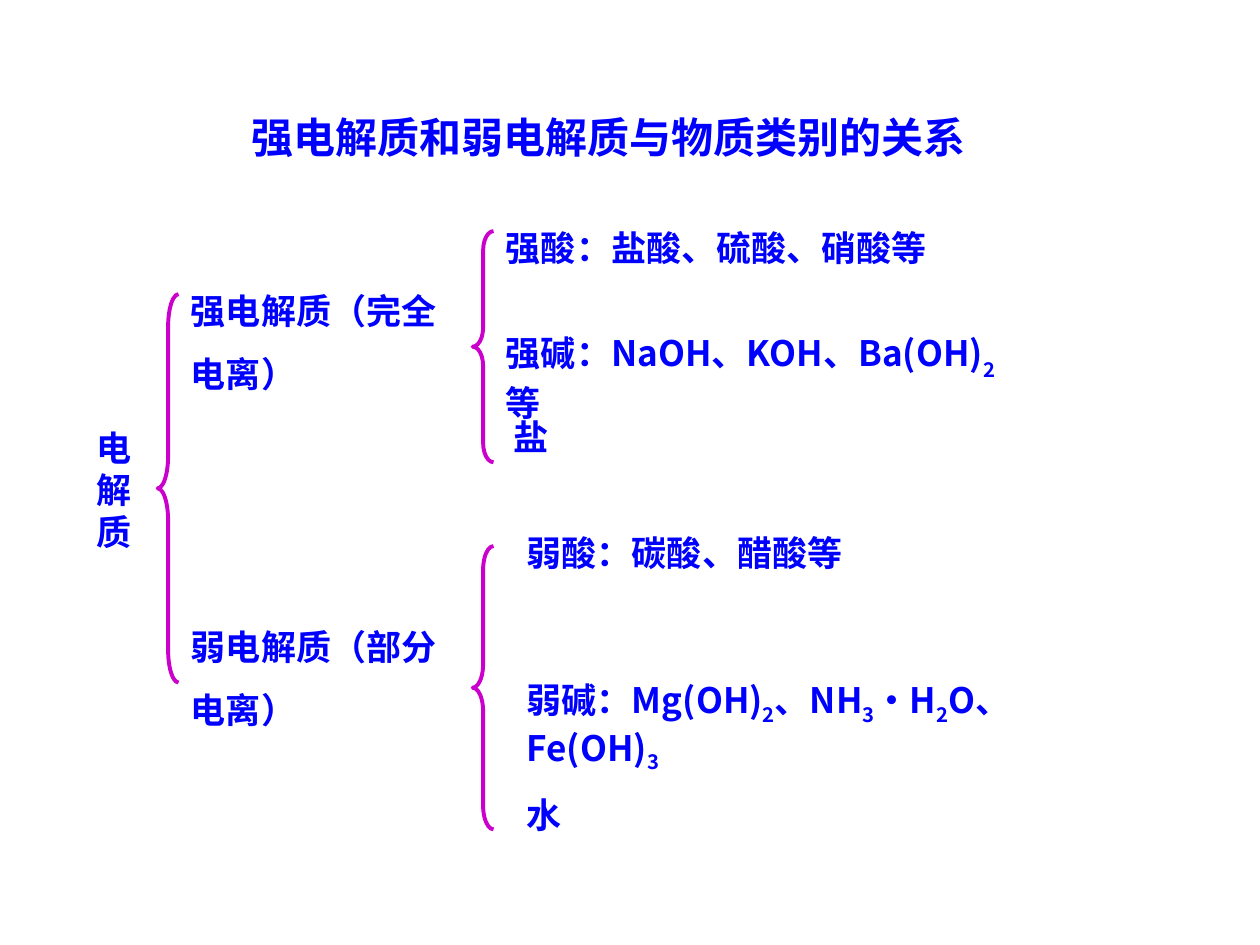
"""Build a slide that sorts electrolytes into strong and weak kinds."""
from lxml import etree
from pptx import Presentation
from pptx.dml.color import RGBColor
from pptx.enum.shapes import MSO_SHAPE
from pptx.enum.text import MSO_ANCHOR, MSO_AUTO_SIZE, PP_ALIGN
from pptx.oxml.ns import qn
from pptx.util import Cm, Pt

BRACE = MSO_SHAPE.LEFT_BRACE
MIDDLE = MSO_ANCHOR.MIDDLE
FIT = MSO_AUTO_SIZE.SHAPE_TO_FIT_TEXT
FIXED = MSO_AUTO_SIZE.NONE
LEFT, CENTER = PP_ALIGN.LEFT, PP_ALIGN.CENTER
SANS, SERIF = "Noto Sans CJK SC", "Times New Roman"
BLUE, PURPLE = "0000FF", "CC00CC"


def paint(color, value):
    color.rgb = RGBColor.from_string(value)


def label(place, lines, size=20, face=SANS, align=LEFT, gap=None, low=-25):
    box = slide.shapes.add_textbox(*map(Cm, place))
    frame = box.text_frame
    frame.word_wrap = True
    frame.auto_size = FIT if len(lines) == 1 else FIXED
    for row, parts in enumerate(lines):
        para = frame.add_paragraph() if row else frame.paragraphs[0]
        para.alignment = align
        if gap:
            para.line_spacing = gap
        for index, part in enumerate(parts):
            run = para.add_run()
            run.text = part
            font = run.font
            font.size, font.bold, font.name = Pt(size), True, face
            paint(font.color, BLUE)
            props = run.font._element
            etree.SubElement(props, qn("a:ea")).set("typeface", SANS)
            if index % 2:
                props.set("baseline", str(low * 1000))
    return frame


deck = Presentation()
deck.slide_width, deck.slide_height = Cm(25.4), Cm(19.05)
slide = deck.slides.add_slide(deck.slide_layouts[6])

title = label((4.23, 2.12, 16.09, 1.28), [["强电解质和弱电解质与物质类别的关系"]],
              size=24, face=SERIF, align=CENTER)
title.vertical_anchor = MIDDLE

label((1.69, 8.47, 1.27, 3.18), [["电"], ["解"], ["质"]])
label((3.6, 5.29, 5.72, 2.79), [["强电解质（完全电离）"]], gap=1.5)
label((3.6, 12.07, 5.72, 2.79), [["弱电解质（部分电离）"]], gap=1.5)

label((9.95, 4.45, 10.8, 1.11), [["强酸：盐酸、硫酸、硝酸等"]])
label((9.95, 6.56, 11.01, 2.12), [["强碱：NaOH、KOH、Ba(OH)", "2", "等"]], low=-30)
label((9.95, 8.26, 2.54, 1.11), [[" 盐"]])

label((10.37, 10.58, 10.58, 1.11), [["弱酸：碳酸、醋酸等"]])
label((10.37, 13.55, 12.49, 2.18),
      [["弱碱：Mg(OH)", "2", "、NH", "3", "·H", "2", "O、Fe(OH)", "3"]])
label((10.37, 15.88, 1.69, 1.11), [["水"]])

wide = 0.42
for left, top, high in ((3.18, 5.93, 7.83), (9.53, 4.66, 4.66), (9.53, 11.01, 5.71)):
    brace = slide.shapes.add_shape(BRACE, Cm(left), Cm(top), Cm(wide), Cm(high))
    brace.adjustments[0] = high / 12 / wide
    brace.shadow.inherit = False
    brace.fill.background()
    paint(brace.line.color, PURPLE)
    brace.line.width = Pt(2.25)

deck.save("out.pptx")
